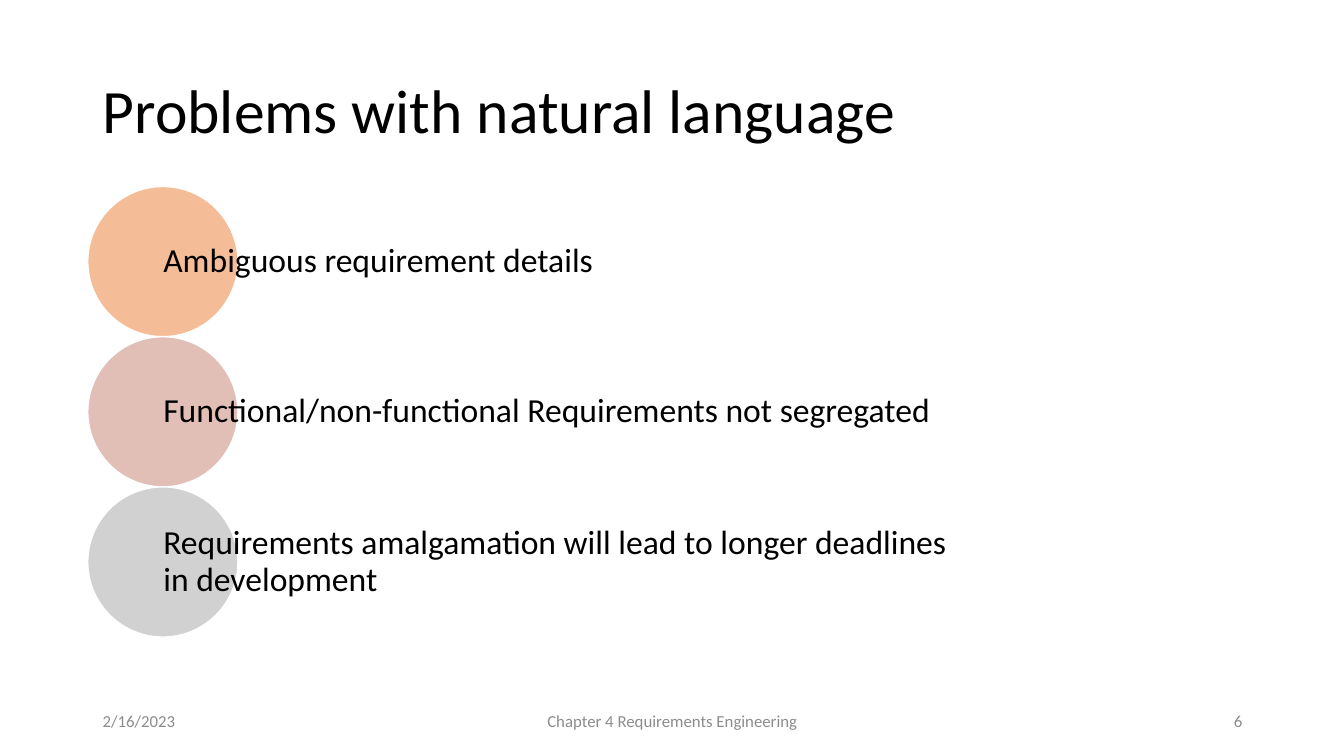
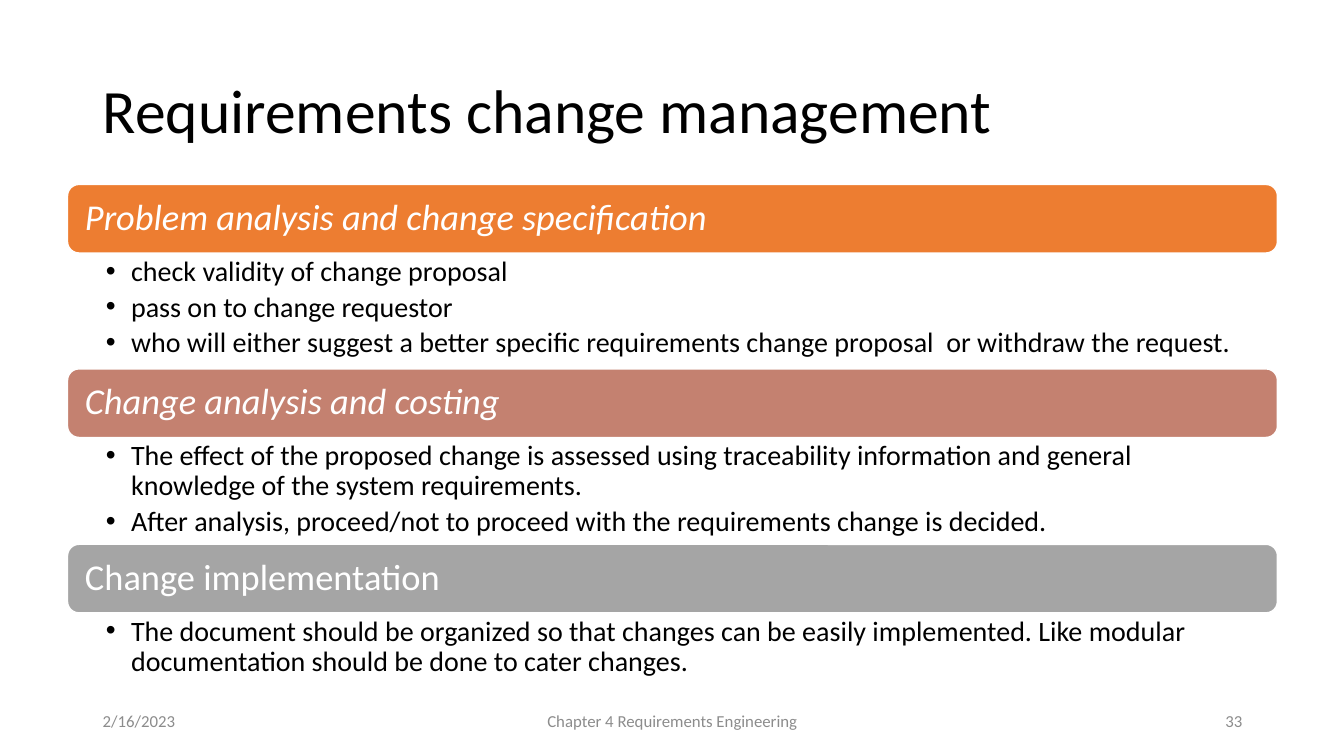
from lxml import etree
from pptx import Presentation
from pptx.dml.color import RGBColor
from pptx.enum.shapes import MSO_SHAPE
from pptx.enum.text import MSO_ANCHOR, MSO_AUTO_SIZE, PP_ALIGN
from pptx.oxml.ns import qn
from pptx.util import Pt

PX = 9144
FONT = "Calibri"
BLACK, WHITE, GRAY = "000000", "FFFFFF", "8C8C8C"
HUES = ["ED7D31", "C48170", "A5A5A5"]
LEFT, MID, RIGHT, JUST = PP_ALIGN.LEFT, PP_ALIGN.CENTER, PP_ALIGN.RIGHT, PP_ALIGN.JUSTIFY
TOP, CENTER = MSO_ANCHOR.TOP, MSO_ANCHOR.MIDDLE
OVAL, ROUND = MSO_SHAPE.OVAL, MSO_SHAPE.ROUNDED_RECTANGLE
FIXED = MSO_AUTO_SIZE.NONE


def write(shape, *lines, size=24, color=BLACK, italic=False, align=LEFT,
          anchor=CENTER, inset=(10, 5, 10, 5), space=0.9, after=0, bullet=None):
    frame = shape.text_frame
    frame.word_wrap = True
    frame.auto_size = FIXED
    frame.vertical_anchor = anchor
    frame.margin_left, frame.margin_top, frame.margin_right, frame.margin_bottom = [
        n * PX for n in inset]
    for i, line in enumerate(lines):
        para = frame.paragraphs[0] if i == 0 else frame.add_paragraph()
        para.alignment = align
        para.line_spacing = space
        para.space_before = Pt(0)
        para.space_after = Pt(after)
        if bullet:
            props = para._p.get_or_add_pPr()
            props.set("marL", str(25 * PX))
            props.set("indent", str(-25 * PX))
            etree.SubElement(props, qn("a:buFont")).set("typeface", "Arial")
            etree.SubElement(props, qn("a:buChar")).set("char", bullet)
        run = para.add_run()
        run.text = line
        font = run.font
        font.name, font.size = FONT, Pt(size)
        font.bold, font.italic = False, italic
        font.color.rgb = RGBColor.from_string(color)


def draw(slide, kind, box, hue, alpha=100):
    shape = slide.shapes.add_shape(kind, *[n * PX for n in box])
    shape.shadow.inherit = False
    shape.fill.solid()
    shape.fill.fore_color.rgb = RGBColor.from_string(hue)
    shape.line.color.rgb = RGBColor.from_string(WHITE)
    shape.line.width = Pt(1)
    if alpha < 100:
        tint = shape.fill._xPr.find(qn("a:solidFill"))[0]
        etree.SubElement(tint, qn("a:alpha")).set("val", str(alpha * 1000))
    return shape


deck = Presentation()
deck.slide_width, deck.slide_height = 1333 * PX, 750 * PX

PAGES = [
    (5, "Problems with natural language", "6"),
    (4, "Requirements change management", "33"),
]
for layout, title, page in PAGES:
    slide = deck.slides.add_slide(deck.slide_layouts[layout])
    head = slide.shapes.title
    head.left, head.top, head.width, head.height = [n * PX for n in (92, 40, 1150, 145)]
    write(head, title, size=44)
    for text, left, width, align in [
        ("2/16/2023", 92, 300, LEFT),
        ("Chapter 4 Requirements Engineering", 442, 450, MID),
        (page, 942, 300, RIGHT),
    ]:
        foot = slide.shapes.add_textbox(left * PX, 695 * PX, width * PX, 40 * PX)
        write(foot, text, size=12, color=GRAY, align=align, space=1)

first, second = deck.slides

ITEMS = [
    "Ambiguous requirement details",
    "Functional/non-functional Requirements not segregated",
    "Requirements amalgamation will lead to longer deadlines in development",
]
SIDE = 149
for i, (item, hue) in enumerate(zip(ITEMS, HUES)):
    top = 185 + i * SIDE
    draw(first, OVAL, (87, top, SIDE, SIDE), hue, alpha=50)
    label = first.shapes.add_textbox(162 * PX, top * PX, 794 * PX, SIDE * PX)
    write(label, item, inset=(0, 3, 0, 3))

STEPS = [
    ("Problem analysis and change specification", True, 115, JUST, [
        "check validity of change proposal",
        "pass on to change requestor",
        "who will either suggest a better specific requirements change proposal  or withdraw the request.",
    ]),
    ("Change analysis and costing", True, 106, LEFT, [
        "The effect of the proposed change is assessed using traceability information and general knowledge of the system requirements.",
        "After analysis, proceed/not to proceed with the requirements change is decided.",
    ]),
    ("Change implementation", False, 69, LEFT, [
        "The document should be organized so that changes can be easily implemented. Like modular documentation should be done to cater changes.",
    ]),
]
BAR = 68
top = 183
bodies = list(second.placeholders)[1:]
for (name, slant, height, align, points), hue, body in zip(STEPS, HUES, bodies):
    bar = draw(second, ROUND, (67, top, 1200, BAR), hue)
    write(bar, name, size=26, color=WHITE, italic=slant, inset=(14, 11, 14, 11))
    top += BAR
    body.left, body.top, body.width, body.height = [n * PX for n in (67, top, 1200, height)]
    write(body, *points, size=20, align=align, anchor=TOP,
          inset=(38, 4, 20, 4), after=4, bullet="•")
    top += height
for spare in bodies[len(STEPS):]:
    spare.element.getparent().remove(spare.element)

deck.save("out.pptx")
